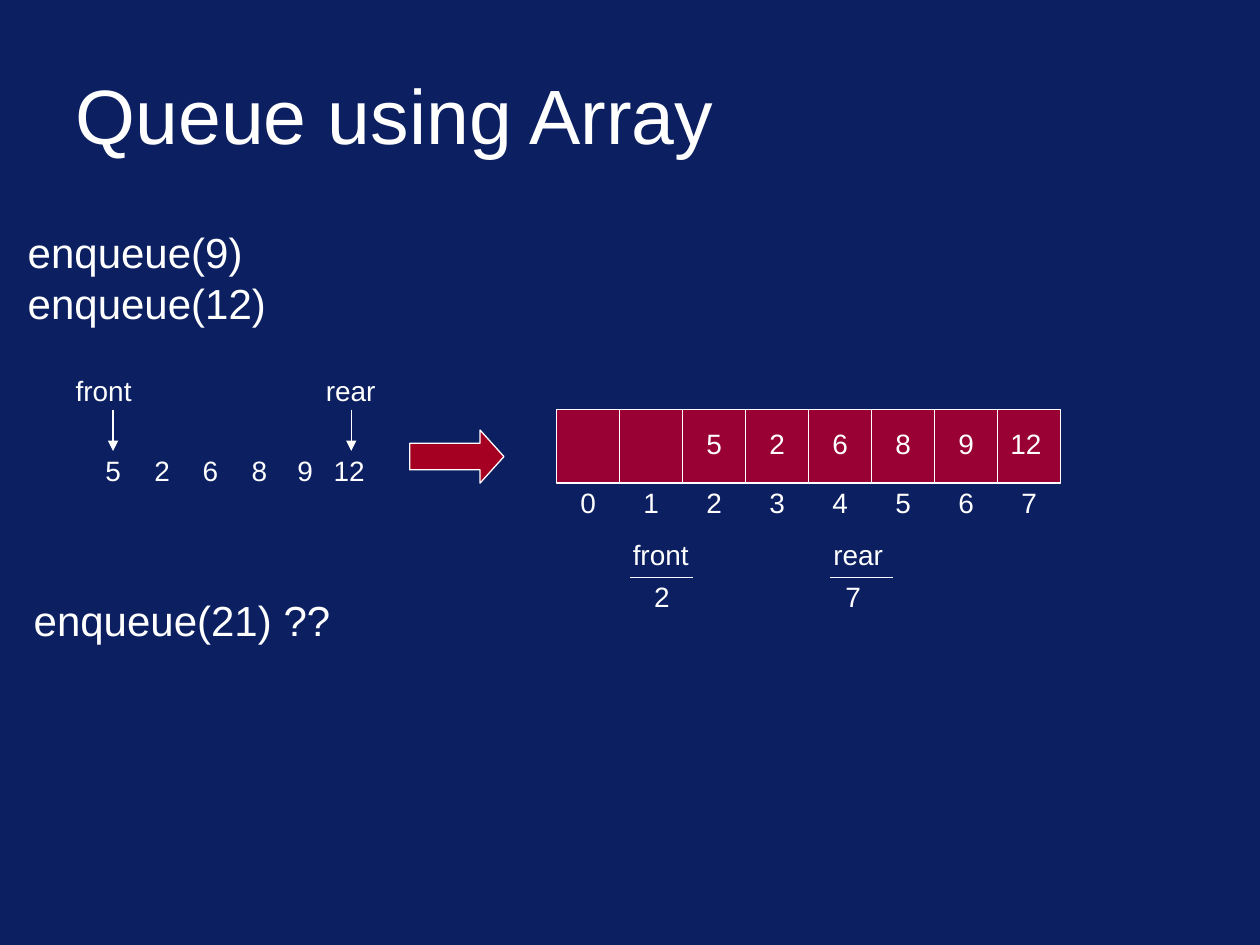
from dataclasses import dataclass

import pptx
import pptx.dml.color
import pptx.enum.shapes
import pptx.enum.text
import pptx.oxml.ns
import pptx.util
from lxml import etree
from pptx.util import Cm

BACKGROUND = "0B1F61"
WHITE = "FFFFFF"
ARROW_RED = "A50021"
CELL_RED = "990033"

SHAPES = pptx.enum.shapes.MSO_SHAPE
ALIGN = pptx.enum.text.PP_ALIGN

QUEUE = ["5", "2", "6", "8", "9", "12"]
QUEUE_CENTERS = [2.28, 3.27, 4.24, 5.23, 6.15, 7.04]
CELL_COUNT = 8
CELL_WIDTH = 1.27
FIRST_USED = 2
ARRAY_LEFT, ARRAY_TOP, ARRAY_HEIGHT = 11.22, 8.26, 1.48
LABEL_HEIGHT = 0.94
LABEL_WIDTHS = {"front": 1.7, "rear": 1.6, "12": 1.2}
DIGIT_WIDTH = 0.81


@dataclass
class Label:
    text: str
    center: float
    top: float


@dataclass
class Call:
    text: str
    left: float
    top: float
    width: float
    height: float


@dataclass
class Segment:
    x1: float
    y1: float
    x2: float
    y2: float
    arrow: bool = False


def color(value: str) -> pptx.dml.color.RGBColor:
    return pptx.dml.color.RGBColor.from_string(value)


def format_text(frame, size: float, align) -> None:
    for paragraph in frame.paragraphs:
        paragraph.alignment = align
        for run in paragraph.runs:
            run.font.name = "Arial"
            run.font.size = pptx.util.Pt(size)
            run.font.color.rgb = color(WHITE)


def draw_text(slide, text: str, left: float, top: float, width: float,
              height: float, size: float, align) -> None:
    frame = slide.shapes.add_textbox(Cm(left), Cm(top), Cm(width), Cm(height)).text_frame
    frame.word_wrap = False
    frame.auto_size = pptx.enum.text.MSO_AUTO_SIZE.SHAPE_TO_FIT_TEXT
    frame.text = text
    format_text(frame, size, align)


def draw_label(slide, label: Label) -> None:
    width = LABEL_WIDTHS.get(label.text, DIGIT_WIDTH)
    draw_text(slide, label.text, label.center - width / 2, label.top,
              width, LABEL_HEIGHT, 16, ALIGN.CENTER)


def draw_call(slide, call: Call) -> None:
    draw_text(slide, call.text, call.left, call.top, call.width, call.height, 24, ALIGN.LEFT)


def draw_segment(slide, segment: Segment) -> None:
    connector = slide.shapes.add_connector(
        pptx.enum.shapes.MSO_CONNECTOR.STRAIGHT,
        Cm(segment.x1), Cm(segment.y1), Cm(segment.x2), Cm(segment.y2))
    connector.line.color.rgb = color(WHITE)
    connector.line.width = pptx.util.Pt(0.75)
    if segment.arrow:
        outline = connector.line._get_or_add_ln()
        etree.SubElement(outline, pptx.oxml.ns.qn("a:tailEnd"), type="triangle")
    etree.SubElement(connector._element.spPr, pptx.oxml.ns.qn("a:effectLst"))


def draw_shape(slide, preset, left: float, top: float, width: float, height: float, fill: str):
    shape = slide.shapes.add_shape(preset, Cm(left), Cm(top), Cm(width), Cm(height))
    shape.shadow.inherit = False
    shape.fill.solid()
    shape.fill.fore_color.rgb = color(fill)
    shape.line.color.rgb = color(WHITE)
    shape.line.width = pptx.util.Pt(0.75)
    return shape


def draw_title(slide, text: str) -> None:
    title = slide.shapes.title
    title.left, title.top, title.width, title.height = Cm(1.27), Cm(1.02), Cm(22.86), Cm(2.54)
    title.text_frame.text = text
    title.text_frame.vertical_anchor = pptx.enum.text.MSO_ANCHOR.MIDDLE
    format_text(title.text_frame, 44, ALIGN.LEFT)


def cell_center(index: int) -> float:
    return ARRAY_LEFT + (index + 0.5) * CELL_WIDTH


def main() -> None:
    presentation = pptx.Presentation()
    presentation.slide_width, presentation.slide_height = Cm(25.4), Cm(19.05)
    slide = presentation.slides.add_slide(presentation.slide_layouts[5])
    slide.background.fill.solid()
    slide.background.fill.fore_color.rgb = color(BACKGROUND)

    draw_title(slide, "Queue using Array")
    draw_shape(slide, SHAPES.RECTANGLE, ARRAY_LEFT, ARRAY_TOP,
               CELL_COUNT * CELL_WIDTH, ARRAY_HEIGHT, CELL_RED)
    becomes = draw_shape(slide, SHAPES.RIGHT_ARROW, 8.26, 8.67, 1.9, 1.07, ARROW_RED)
    becomes.adjustments[0] = 0.5
    becomes.adjustments[1] = 0.45

    dividers = [ARRAY_LEFT + index * CELL_WIDTH for index in range(1, CELL_COUNT)]
    segments = [Segment(x, ARRAY_TOP, x, ARRAY_TOP + ARRAY_HEIGHT) for x in dividers]
    segments += [Segment(x, 8.26, x, 9.09, arrow=True) for x in (2.28, 7.08)]
    segments += [Segment(x, 11.64, x + 1.27, 11.64) for x in (12.7, 16.73)]
    for segment in segments:
        draw_segment(slide, segment)

    labels = [
        Label("front", 2.09, 7.41),
        Label("rear", 7.07, 7.41),
        Label("front", 13.32, 10.72),
        Label("2", 13.34, 11.56),
        Label("rear", 17.3, 10.72),
        Label("7", 17.2, 11.56),
    ]
    labels += [Label(value, center, 9.02) for value, center in zip(QUEUE, QUEUE_CENTERS)]
    labels += [Label(value, cell_center(index), 8.47)
               for index, value in enumerate(QUEUE[:-1], FIRST_USED)]
    labels.append(Label(QUEUE[-1], 20.68, 8.47))
    labels += [Label(str(index), cell_center(index), 9.66) for index in range(CELL_COUNT)]
    for label in labels:
        draw_label(slide, label)

    for call in (Call("enqueue(9)\nenqueue(12)", 0.31, 4.45, 5.31, 2.29),
                 Call("enqueue(21) ??", 0.43, 11.86, 6.48, 1.27)):
        draw_call(slide, call)

    presentation.save("out.pptx")


if __name__ == "__main__":
    main()
